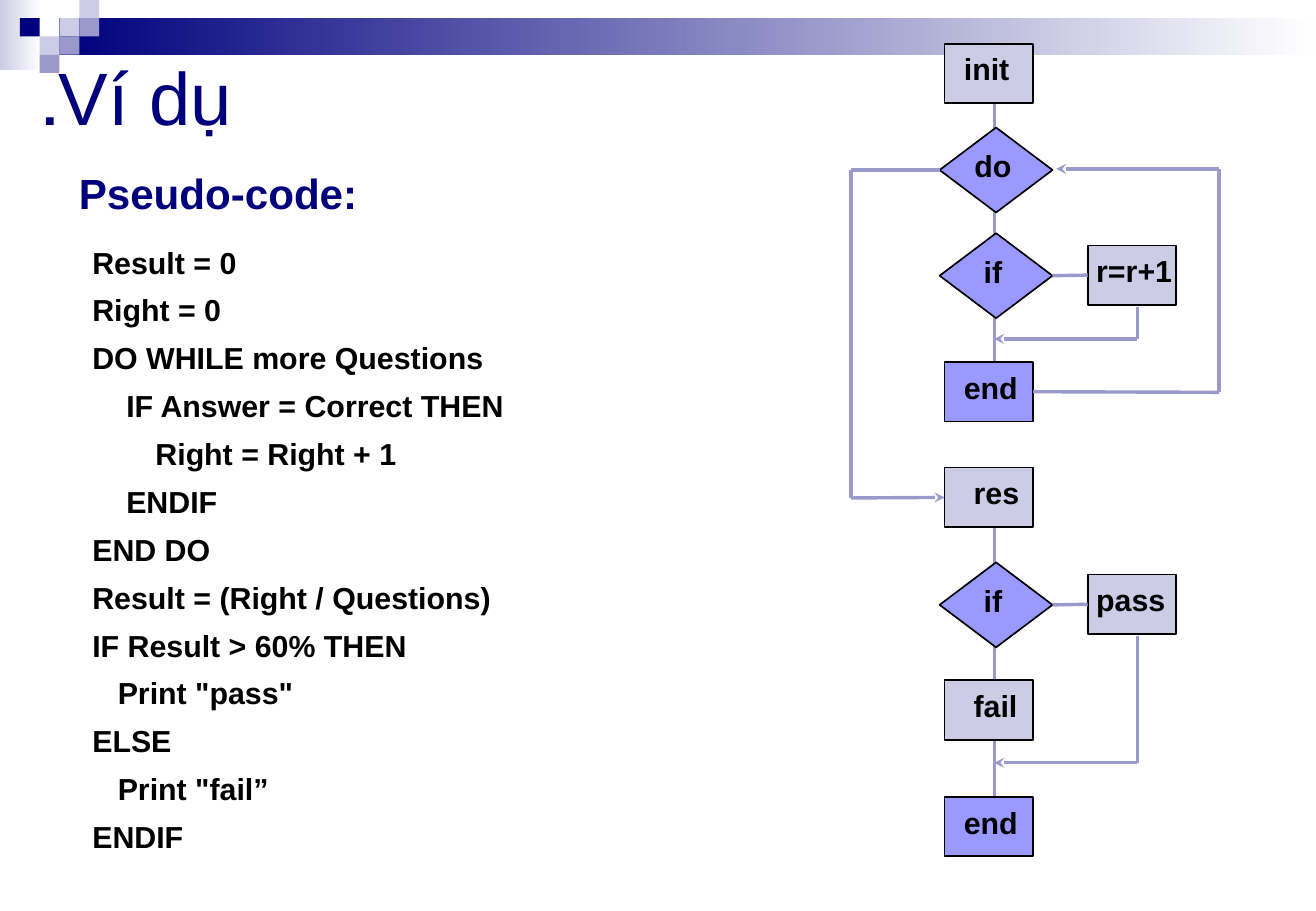
from dataclasses import dataclass

import pptx
import pptx.dml.color
import pptx.enum.shapes
import pptx.enum.text
import pptx.oxml
import pptx.oxml.ns
import pptx.util
from pptx.util import Inches

SHAPE = pptx.enum.shapes.MSO_SHAPE
ALIGN = pptx.enum.text.PP_ALIGN
ANCHOR = pptx.enum.text.MSO_ANCHOR
rgb = pptx.dml.color.RGBColor.from_string


@dataclass(frozen=True)
class Theme:
    font: str = "Arial"
    navy: str = "00007D"
    violet: str = "9999FF"
    slate: str = "9999CC"
    pale: str = "CCCCE6"
    white: str = "FFFFFF"
    black: str = "000000"
    title_size: float = 44
    heading_size: float = 25
    text_size: float = 18
    flow_width: float = 2
    outline_width: float = 1


theme = Theme()
presentation = pptx.Presentation()
presentation.slide_width = Inches(10.84)
presentation.slide_height = Inches(7.5)
slide = presentation.slides.add_slide(presentation.slide_layouts[1])


def write_text(paragraph, text, size=theme.text_size, color=theme.black, bold=True,
               align=ALIGN.LEFT, spacing=0.85, before=0):
    paragraph.alignment = align
    paragraph.line_spacing = spacing
    paragraph.space_before = pptx.util.Pt(before)
    run = paragraph.add_run()
    run.text = text
    run.font.name = theme.font
    run.font.size = pptx.util.Pt(size)
    run.font.bold = bold
    run.font.color.rgb = rgb(color)


def add_flow_line(start, end, arrow=False, source=None, target=None):
    """Draw a flow line; source and target are (shape, side) pairs to join."""
    connector = slide.shapes.add_connector(
        pptx.enum.shapes.MSO_CONNECTOR.STRAIGHT, *map(Inches, start + end))
    if source:
        connector.begin_connect(*source)
    if target:
        connector.end_connect(*target)
    connector.line.color.rgb = rgb(theme.slate)
    connector.line.width = pptx.util.Pt(theme.flow_width)
    if arrow:
        tail = pptx.oxml.ns.qn("a:tailEnd")
        connector.line._get_or_add_ln().append(
            connector._element.makeelement(tail, {"type": "stealth"}))
    effects = pptx.oxml.ns.qn("a:effectLst")
    connector._element.spPr.append(connector._element.makeelement(effects))


# Header: two gradient bands and a pattern of squares on a grid
for left, top, width, height, color in [
    (0, 0, 0.34, 0.58, theme.pale),
    (0.49, 0.15, 10.34, 0.3, theme.navy),
]:
    band = slide.shapes.add_shape(
        SHAPE.RECTANGLE, *map(Inches, (left, top, width, height)))
    band.shadow.inherit = False
    band.line.fill.background()
    band.fill.gradient()
    band.fill.gradient_angle = 0
    for stop, stop_color in zip(band.fill.gradient_stops, (color, theme.white)):
        stop.color.rgb = rgb(stop_color)

square_width, square_height = 0.49 / 3, 0.15
for column, row, color in [
    (3, 1, theme.pale), (4, 0, theme.pale), (4, 1, theme.slate), (2, 2, theme.pale),
    (1, 1, theme.navy), (3, 2, theme.slate), (2, 3, theme.slate),
]:
    square = slide.shapes.add_shape(
        SHAPE.RECTANGLE, Inches(column * square_width), Inches(row * square_height),
        Inches(square_width), Inches(square_height))
    square.shadow.inherit = False
    square.line.fill.background()
    square.fill.solid()
    square.fill.fore_color.rgb = rgb(color)

# Title, set right to left
title = slide.shapes.title
title.left, title.top, title.width, title.height = map(Inches, (0.23, 0.1, 9.75, 1.5))
title.text_frame.vertical_anchor = ANCHOR.MIDDLE
title_paragraph = title.text_frame.paragraphs[0]
write_text(title_paragraph, "Ví dụ.", size=theme.title_size, color=theme.navy, bold=False)
title_paragraph._p.get_or_add_pPr().set("rtl", "1")

# Pseudo-code
heading = slide.shapes.add_textbox(*map(Inches, (0.58, 1.41, 2.44, 0.42)))
code = slide.placeholders[1]
code.left, code.top, code.width, code.height = map(Inches, (0.69, 2.02, 5.03, 4.91))
for box in (heading, code):
    frame = box.text_frame
    frame.word_wrap = True
    frame.vertical_anchor = ANCHOR.TOP
    frame.margin_left = frame.margin_right = Inches(0.07)
    frame.margin_top = frame.margin_bottom = Inches(0.03)
write_text(heading.text_frame.paragraphs[0], "Pseudo-code:",
           size=theme.heading_size, color=theme.navy)

code_lines = [
    (0, "Result = 0"),
    (0, "Right = 0"),
    (0, "DO WHILE more Questions"),
    (0.28, "IF Answer = Correct THEN"),
    (0.52, "Right = Right + 1"),
    (0.28, "ENDIF"),
    (0, "END DO"),
    (0, "Result = (Right / Questions)"),
    (0, "IF Result > 60% THEN"),
    (0.21, 'Print "pass"'),
    (0, "ELSE"),
    (0.21, 'Print "fail”'),
    (0, "ENDIF"),
]
for index, (indent, text) in enumerate(code_lines):
    frame = code.text_frame
    paragraph = frame.add_paragraph() if index else frame.paragraphs[0]
    write_text(paragraph, text, spacing=0.86, before=9.8 if index else 0)
    properties = paragraph._p.get_or_add_pPr()
    properties.set("marL", str(Inches(indent)))
    properties.set("indent", "0")
    properties.append(properties.makeelement(pptx.oxml.ns.qn("a:buNone")))

# Flowchart: the spine lies behind the steps
spine, branch, loop_left, loop_right = 8.19, 9.37, 7.01, 10.04
add_flow_line((spine, 0.7), (spine, 3.23))
add_flow_line((spine, 4.19), (spine, 6.73))

steps = {}
for name, text, left, top, color, text_indent in [
    ("init", "init", 7.78, 0.36, theme.pale, 0.16),
    ("add right", "r=r+1", 8.96, 2.02, theme.pale, 0.07),
    ("end loop", "end", 7.78, 2.98, theme.violet, 0.16),
    ("result", "res", 7.78, 3.85, theme.pale, 0.24),
    ("pass", "pass", 8.96, 4.73, theme.pale, 0.07),
    ("fail", "fail", 7.78, 5.6, theme.pale, 0.24),
    ("end", "end", 7.78, 6.56, theme.violet, 0.16),
    ("do", "do", 7.74, 1.05, theme.violet, None),
    ("if correct", "if", 7.74, 1.92, theme.violet, None),
    ("if passed", "if", 7.74, 4.63, theme.violet, None),
]:
    decision = text_indent is None
    kind, width, height = (SHAPE.DIAMOND, 0.93, 0.7) if decision else (SHAPE.RECTANGLE, 0.73, 0.49)
    step = slide.shapes.add_shape(kind, *map(Inches, (left, top, width, height)))
    step.shadow.inherit = False
    step.fill.solid()
    step.fill.fore_color.rgb = rgb(color)
    step.line.color.rgb = rgb(theme.black)
    step.line.width = pptx.util.Pt(theme.outline_width)
    frame = step.text_frame
    frame.word_wrap = True
    frame.vertical_anchor = ANCHOR.MIDDLE
    frame.margin_left = Inches(text_indent or 0)
    frame.margin_right = Inches(0.05 if decision else 0)
    frame.margin_top = 0
    frame.margin_bottom = Inches(0.03)
    write_text(frame.paragraphs[0], text, align=ALIGN.CENTER if decision else ALIGN.LEFT)
    steps[name] = step

# Branches to the right of both decisions
for decision, action, y, start_y, merge_y in [
    ("if correct", "add right", 2.26, 2.53, 2.79),
    ("if passed", "pass", 4.97, 5.24, 6.28),
]:
    add_flow_line((8.67, y), (8.96, y), source=(steps[decision], 3), target=(steps[action], 1))
    add_flow_line((branch, start_y), (branch, merge_y))
    add_flow_line((branch, merge_y), (spine, merge_y), arrow=True)

# Exit from the loop on the left, return to its start on the right
add_flow_line((7.74, 1.4), (loop_left, 1.4), source=(steps["do"], 1))
add_flow_line((loop_left, 1.4), (loop_left, 4.1))
add_flow_line((loop_left, 4.1), (7.78, 4.1), arrow=True, target=(steps["result"], 1))
add_flow_line((8.51, 3.23), (loop_right, 3.23), source=(steps["end loop"], 3))
add_flow_line((loop_right, 3.23), (loop_right, 1.39))
add_flow_line((loop_right, 1.39), (8.7, 1.39), arrow=True)

presentation.save("out.pptx")
